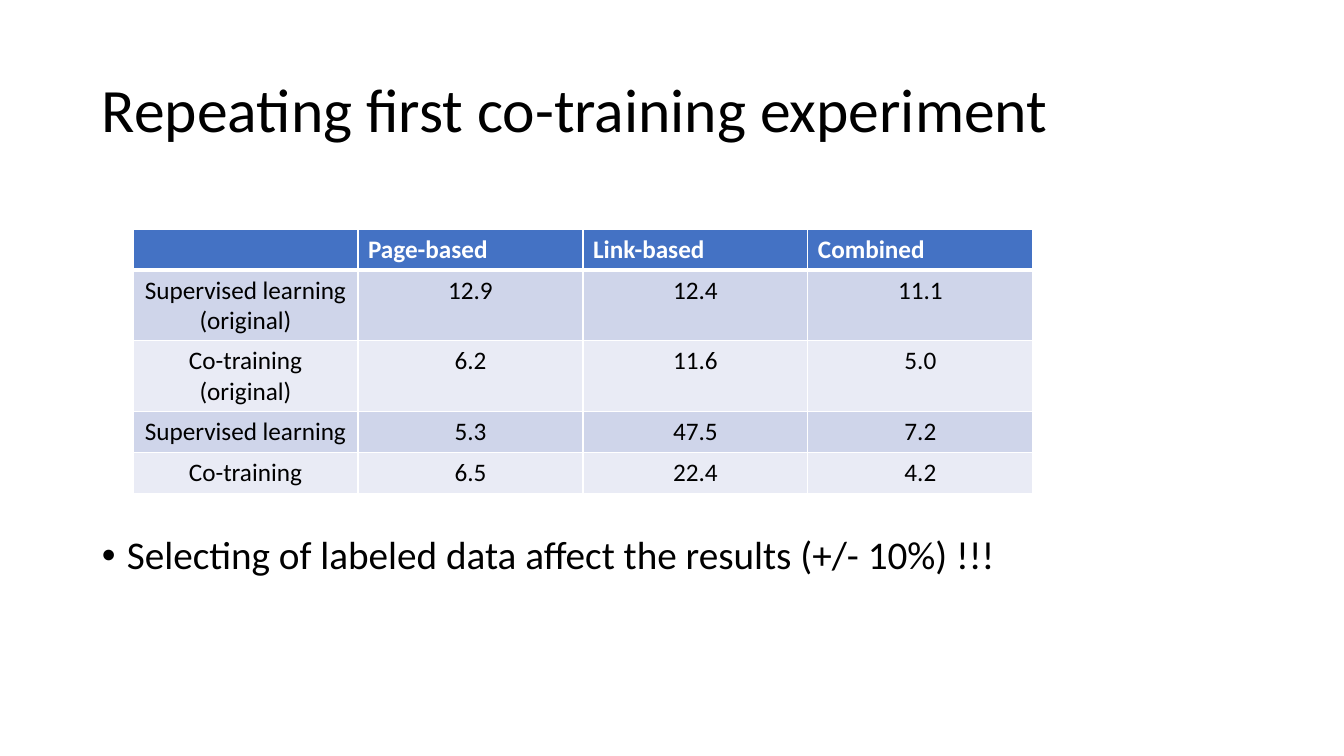
import pptx
import pptx.util
import pptx.dml.color
import pptx.enum.text
import pptx.oxml
import pptx.oxml.ns

EMU_PER_PX = 12192000 / 1344
FONT = "Calibri"
COLORS = {
    "text": "000000",
    "header_text": "FFFFFF",
    "header": "4472C4",
    "band_dark": "CFD5EA",
    "band_light": "E9EBF5",
    "grid": "FFFFFF",
}
ALIGN = pptx.enum.text.PP_ALIGN
ANCHOR = pptx.enum.text.MSO_ANCHOR

HEADINGS = ["", "Page-based", "Link-based", "Combined"]
ERROR_RATES = [
    ["Supervised learning (original)", "12.9", "12.4", "11.1"],
    ["Co-training (original)", "6.2", "11.6", "5.0"],
    ["Supervised learning", "5.3", "47.5", "7.2"],
    ["Co-training", "6.5", "22.4", "4.2"],
]


def px(length):
    """Turn pixels into EMU."""
    return pptx.util.Emu(round(length * EMU_PER_PX))


def rgb(name):
    """Look up a colour by name."""
    return pptx.dml.color.RGBColor.from_string(COLORS[name])


def write(frame, text, size=18, color="text", bold=False, align=ALIGN.LEFT,
          line_spacing=None, space_before=0):
    """Write one formatted paragraph into a text frame and return it."""
    paragraph = frame.paragraphs[0]
    paragraph.alignment = align
    paragraph.line_spacing = line_spacing
    paragraph.space_before = pptx.util.Pt(space_before)
    paragraph.font.size = pptx.util.Pt(size)
    if text:
        run = paragraph.add_run()
        run.text = text
        run.font.name = FONT
        run.font.size = pptx.util.Pt(size)
        run.font.bold = bold
        run.font.color.rgb = rgb(color)
    return paragraph


def add_frame(slide, box, anchor):
    """Add a wrapping text box and return its text frame."""
    frame = slide.shapes.add_textbox(*map(px, box)).text_frame
    frame.word_wrap = True
    frame.vertical_anchor = anchor
    return frame


def add_title(slide, box, text):
    """Place the slide title, centred vertically in its box."""
    write(add_frame(slide, box, ANCHOR.MIDDLE), text, size=44, line_spacing=0.9)


def add_conclusion(slide, box, text):
    """Place the bulleted conclusion at the top of its box."""
    conclusion = write(add_frame(slide, box, ANCHOR.TOP), text, size=28,
                       line_spacing=0.9, space_before=10)
    properties = conclusion._p.get_or_add_pPr()
    indent = px(25)
    properties.set("marL", str(indent))
    properties.set("indent", str(-indent))
    namespace = pptx.oxml.ns.nsdecls("a")
    for bullet in (f'<a:buFont {namespace} typeface="Arial"/>',
                   f'<a:buChar {namespace} char="\u2022"/>'):
        properties.append(pptx.oxml.parse_xml(bullet))


def add_borders(cell, top, bottom):
    """Draw the cell's grid lines; top and bottom widths are in points."""
    properties = cell._tc.get_or_add_tcPr()
    for side, width in (("L", 1), ("R", 1), ("T", top), ("B", bottom)):
        properties.append(pptx.oxml.parse_xml(
            f'<a:ln{side} {pptx.oxml.ns.nsdecls("a")} w="{pptx.util.Pt(width)}">'
            f'<a:solidFill><a:srgbClr val="{COLORS["grid"]}"/></a:solidFill>'
            f'</a:ln{side}>'))


def add_results(slide, box, headings, rows):
    """Place the results table with equal columns and rows in its box."""
    left, top, width, height = box
    lines = [headings] + rows
    table = slide.shapes.add_table(len(lines), len(headings),
                                   *map(px, box)).table
    for column in table.columns:
        column.width = px(width / len(headings))
    for r, line in enumerate(lines):
        table.rows[r].height = px(height / len(lines))
        is_header = r == 0
        band = "header" if is_header else ("band_light", "band_dark")[r % 2]
        for c, text in enumerate(line):
            cell = table.cell(r, c)
            add_borders(cell, top=3 if r == 1 else 1, bottom=3 if is_header else 1)
            cell.fill.solid()
            cell.fill.fore_color.rgb = rgb(band)
            write(cell.text_frame, text, bold=is_header,
                  color="header_text" if is_header else "text",
                  align=ALIGN.LEFT if is_header else ALIGN.CENTER)


def build_experiment_slide(presentation):
    """Build the slide on the repeated co-training experiment."""
    slide = presentation.slides.add_slide(presentation.slide_layouts[6])
    add_title(slide, (92, 40, 1159, 146), "Repeating first co-training experiment")
    add_conclusion(slide, (92, 531, 1159, 150),
                   "Selecting of labeled data affect the results (+/- 10%) !!!")
    add_results(slide, (133, 229, 900, 205), HEADINGS, ERROR_RATES)


presentation = pptx.Presentation()
presentation.slide_width = px(1344)
presentation.slide_height = px(756)
build_experiment_slide(presentation)
presentation.save("out.pptx")
